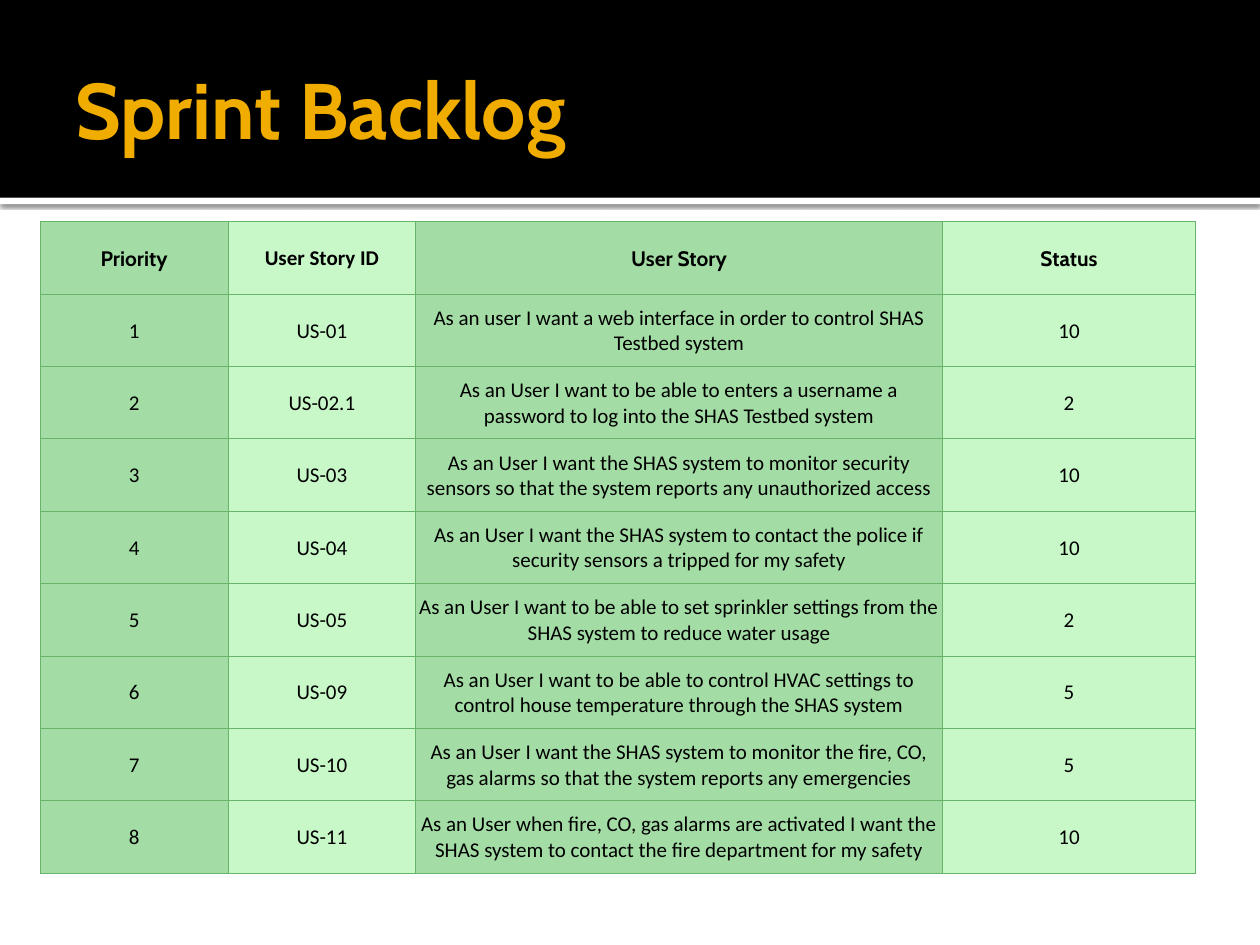
from lxml import etree
from pptx import Presentation
from pptx.dml.color import RGBColor
from pptx.enum.shapes import MSO_SHAPE
from pptx.enum.text import MSO_ANCHOR, PP_ALIGN
from pptx.oxml import parse_xml
from pptx.oxml.ns import nsdecls, qn
from pptx.util import Inches, Pt

RECT = MSO_SHAPE.RECTANGLE
MIDDLE = MSO_ANCHOR.MIDDLE
LEFT, CENTER = PP_ALIGN.LEFT, PP_ALIGN.CENTER

BLACK = RGBColor(0x00, 0x00, 0x00)
WHITE = RGBColor(0xFF, 0xFF, 0xFF)
GOLD = RGBColor(0xF0, 0xAD, 0x00)
DARK_GREEN = RGBColor(0xA3, 0xDD, 0xA5)
LIGHT_GREEN = RGBColor(0xC8, 0xF7, 0xC8)
BORDER_GREEN = RGBColor(0x67, 0xB5, 0x69)

TITLE = "Sprint Backlog"
HEADERS = [("Priority", "Cabin"), ("User Story ID", "Calibri"),
           ("User Story", "Cabin"), ("Status", "Cabin")]
STORIES = [
    ("US-01", "As an user I want a web interface in order to control SHAS Testbed system", 10),
    ("US-02.1", "As an User I want to be able to enters a username a password "
                "to log into the SHAS Testbed system", 2),
    ("US-03", "As an User I want the SHAS system to monitor security sensors "
              "so that the system reports any unauthorized access", 10),
    ("US-04", "As an User I want the SHAS system to contact the police "
              "if security sensors a tripped for my safety", 10),
    ("US-05", "As an User I want to be able to set sprinkler settings "
              "from the SHAS system to reduce water usage", 2),
    ("US-09", "As an User I want to be able to control HVAC settings "
              "to control house temperature through the SHAS system", 5),
    ("US-10", "As an User I want the SHAS system to monitor the fire, CO, gas alarms "
              "so that the system reports any emergencies", 5),
    ("US-11", "As an User when fire, CO, gas alarms are activated I want the SHAS system "
              "to contact the fire department for my safety", 10),
]
COL_WIDTHS = [1.49, 1.49, 4.18, 2.01]
TABLE_LEFT, TABLE_TOP, TABLE_HEIGHT = 0.32, 1.76, 5.17

TITLE_FRAME = dict(margin_left=Inches(0.1), margin_right=Inches(0.05),
                   margin_top=Inches(0.05), margin_bottom=Inches(0.05),
                   vertical_anchor=MIDDLE, word_wrap=True)
CELL_FORMAT = dict(margin_left=Inches(0.01), margin_right=Inches(0.01),
                   margin_top=Inches(0.01), margin_bottom=0,
                   vertical_anchor=MIDDLE)


def apply(obj, values):
    for name, value in values.items():
        setattr(obj, name, value)


def write(tf, text, color, align, **font):
    p = tf.paragraphs[0]
    p.alignment = align
    r = p.add_run()
    r.text = text
    r.font.color.rgb = color
    apply(r.font, font)


def add_band(slide, top, height, color):
    sp = slide.shapes.add_shape(RECT, 0, Inches(top), Inches(10), Inches(height))
    sp.shadow.inherit = False
    sp.fill.solid()
    sp.fill.fore_color.rgb = color
    sp.line.fill.background()
    return sp


def add_shadow(sp):
    effects = sp._element.spPr.find(qn("a:effectLst"))
    effects.append(parse_xml(
        f'<a:outerShdw {nsdecls("a")} blurRad="{Pt(2.5)}" dist="{Pt(0.8)}" dir="5400000">'
        '<a:srgbClr val="000000"><a:alpha val="60000"/></a:srgbClr></a:outerShdw>'))


def set_borders(cell):
    tcPr = cell._tc.get_or_add_tcPr()
    for i, side in enumerate(("lnL", "lnR", "lnT", "lnB")):
        ln = etree.Element(qn(f"a:{side}"), w=str(Pt(0.5)))
        fill = etree.SubElement(ln, qn("a:solidFill"))
        etree.SubElement(fill, qn("a:srgbClr"), val=str(BORDER_GREEN))
        tcPr.insert(i, ln)


def add_title(slide):
    title = slide.shapes.title
    apply(title, dict(left=Inches(0.5), top=Inches(0.17),
                      width=Inches(9), height=Inches(1.37)))
    apply(title.text_frame, TITLE_FRAME)
    write(title.text_frame, TITLE, GOLD, LEFT, name="Cabin", size=Pt(45), bold=True)
    slide.shapes._spTree.append(title._element)  # in front of the bands


def add_backlog(slide):
    n_rows = len(STORIES) + 1
    table = slide.shapes.add_table(
        n_rows, len(HEADERS), Inches(TABLE_LEFT), Inches(TABLE_TOP),
        Inches(sum(COL_WIDTHS)), Inches(TABLE_HEIGHT)).table
    for col, width in zip(table.columns, COL_WIDTHS):
        col.width = Inches(width)
    for row in table.rows:
        row.height = Inches(TABLE_HEIGHT / n_rows)

    rows = [[text for text, _ in HEADERS]]
    rows += [(i, *story) for i, story in enumerate(STORIES, 1)]
    for r, values in enumerate(rows):
        for c, value in enumerate(values):
            cell = table.cell(r, c)
            apply(cell, CELL_FORMAT)
            cell.fill.solid()
            cell.fill.fore_color.rgb = LIGHT_GREEN if c % 2 else DARK_GREEN
            set_borders(cell)
            font = HEADERS[c][1] if r == 0 else "Calibri"
            write(cell.text_frame, str(value), BLACK, CENTER,
                  name=font, size=Pt(12), bold=r == 0)


def main():
    prs = Presentation()
    prs.slide_width, prs.slide_height = Inches(10), Inches(7.5)
    slide = prs.slides.add_slide(prs.slide_layouts[5])
    add_shadow(add_band(slide, 1.57, 0.05, WHITE))
    add_band(slide, 0, 1.57, BLACK)
    add_title(slide)
    add_backlog(slide)
    prs.save("out.pptx")


if __name__ == "__main__":
    main()
